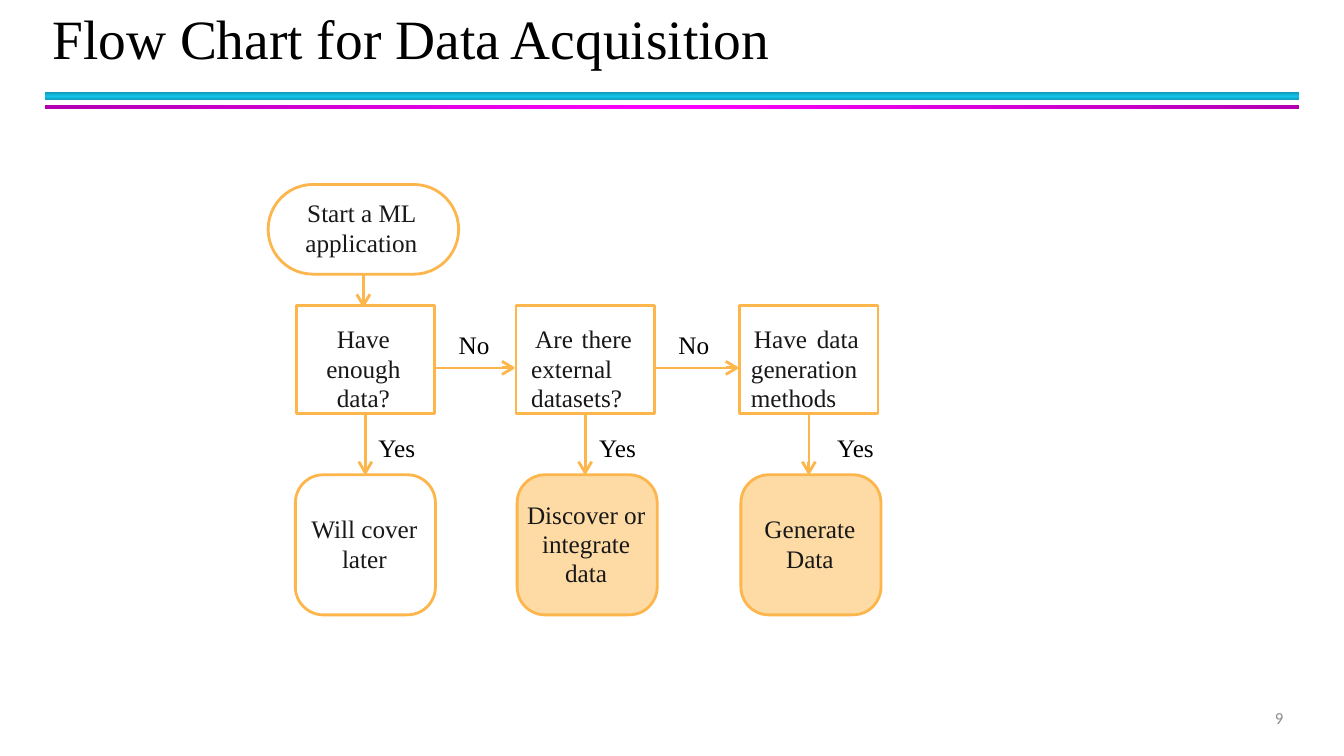
from copy import deepcopy
from dataclasses import dataclass

from lxml.etree import SubElement
from pptx import Presentation
from pptx.dml.color import RGBColor
from pptx.enum.shapes import MSO_CONNECTOR, MSO_SHAPE
from pptx.enum.text import MSO_ANCHOR, PP_ALIGN
from pptx.oxml.ns import qn
from pptx.util import Inches, Pt


@dataclass(frozen=True)
class Theme:
    """Colours, fonts and sizes of the slide."""
    black: str = "000000"
    ink: str = "181818"
    grey: str = "8C8C8C"
    orange: str = "FCB64C"
    peach: str = "FEDBA5"
    cyan: tuple = ("0E9BBA", "12C2E9", "0E9BBA")
    magenta: tuple = ("B200B2", "FF00FF", "B200B2")
    serif: str = "Times New Roman"
    sans: str = "Calibri"
    title: float = 39.6
    body: float = 18
    number: float = 12
    leading: float = 21
    stroke: float = 2


@dataclass(frozen=True)
class Box:
    """A rectangle in grid units, ten to the inch."""
    left: float
    top: float
    width: float
    height: float

    def inner(self, left, top, width, height):
        """Return a box placed relative to this one."""
        return Box(self.left + left, self.top + top, width, height)

    def lengths(self):
        """Return the four lengths for python-pptx."""
        return [grid(value) for value in (self.left, self.top, self.width, self.height)]


THEME = Theme()
PAGE = Box(0, 0, 133.33, 75)
DECISION_LEFTS = (2.8, 24.6, 46.8)
DECISIONS = (
    ("Have enough data?", PP_ALIGN.CENTER, 2.6, 3, 0),
    ("Are there external datasets?", PP_ALIGN.JUSTIFY, 1.5, 2.2, 0.4),
    ("Have data generation methods", PP_ALIGN.JUSTIFY, 1.1, 1.9, 0.3),
)
OUTCOMES = (
    ("Will cover later", None, 2.7, 1.2),
    ("Discover or integrate data", THEME.peach, 24.7, 1.3),
    ("Generate Data", THEME.peach, 46.9, 2.7),
)


def grid(units):
    """Turn grid units into a length."""
    return Inches(units / 10)


def colour(code):
    """Turn a hex code into a colour."""
    return RGBColor.from_string(code)


def write(shape, text, size=THEME.body, font=THEME.serif, ink=THEME.ink,
          align=PP_ALIGN.LEFT, anchor=MSO_ANCHOR.MIDDLE, insets=(0, 0, 0, 0),
          spacing=None, indent=0, kerning=True):
    """Write one formatted paragraph into a shape."""
    frame = shape.text_frame
    frame.word_wrap = True
    frame.vertical_anchor = anchor
    (frame.margin_left, frame.margin_top,
     frame.margin_right, frame.margin_bottom) = map(grid, insets)
    para = frame.paragraphs[0]
    para.alignment = align
    if spacing:
        para.line_spacing = spacing
    if indent:
        para._p.get_or_add_pPr().set("indent", str(grid(indent)))
    span = para.add_run()
    span.text = text
    span.font.size = Pt(size)
    span.font.name = font
    span.font.color.rgb = colour(ink)
    if not kerning:
        span._r.get_or_add_rPr().set("kern", "0")


def add_label(page, box, text, **style):
    """Add a text box."""
    write(page.shapes.add_textbox(*box.lengths()), text, **style)


def set_stroke(shape):
    """Give a shape or connector the orange line."""
    shape.line.color.rgb = colour(THEME.orange)
    shape.line.width = Pt(THEME.stroke)


def add_node(page, box, kind, text, fill=None, corner=None, **style):
    """Add an outlined flow chart node."""
    node = page.shapes.add_shape(kind, *box.lengths())
    node.shadow.inherit = False
    if corner is not None:
        node.adjustments[0] = corner
    if fill:
        node.fill.solid()
        node.fill.fore_color.rgb = colour(fill)
    else:
        node.fill.background()
    set_stroke(node)
    write(node, text, spacing=Pt(THEME.leading), **style)
    return node


def add_arrow(page, start, tip, source=None):
    """Draw a shaft and an open head, right or down, glued to a source's bottom."""
    across = start[1] == tip[1]
    reach, spread = 1.1, 0.65

    def behind(back, side):
        """Return a point behind the tip and to one side."""
        shift = (-back, side) if across else (side, -back)
        return [grid(value + move) for value, move in zip(tip, shift)]

    shaft = page.shapes.add_connector(MSO_CONNECTOR.STRAIGHT,
                                      *map(grid, start), *behind(1, 0))
    if source is not None:
        shaft.begin_connect(source, 2)
    set_stroke(shaft)
    SubElement(shaft._element.spPr, qn("a:effectLst"))
    outline = page.shapes.build_freeform(*behind(reach, spread))
    outline.add_line_segments([behind(0, 0), behind(reach, -spread)], close=False)
    outline.move_to(*behind(reach, 0))
    outline.add_line_segments([behind(0, 0)], close=False)
    head = outline.convert_to_shape()
    head.shadow.inherit = False
    head.fill.background()
    set_stroke(head)


def add_bar(page, box, codes, angle):
    """Add a bar with a three-stop gradient."""
    bar = page.shapes.add_shape(MSO_SHAPE.RECTANGLE, *box.lengths())
    bar.shadow.inherit = False
    bar.line.fill.background()
    bar.fill.gradient()
    bar.fill.gradient_angle = angle
    stops = bar._element.spPr.find(qn("a:gradFill")).find(qn("a:gsLst"))
    stops.append(deepcopy(stops[0]))
    for place, (stop, code) in enumerate(zip(bar.fill.gradient_stops, codes)):
        stop.position = place / 2
        stop.color.rgb = colour(code)


def add_header(page, box):
    """Add the title and the two bars under it."""
    add_bar(page, box.inner(0.25, 8.35, 124.4, 0.8), THEME.cyan, 90)
    add_bar(page, box.inner(0.25, 9.6, 124.4, 0.4), THEME.magenta, 0)
    add_label(page, box.inner(0, 0, 124.2, 6.6), "Flow Chart for Data Acquisition",
              size=THEME.title, ink=THEME.black, spacing=0.9, insets=(1, 0.5, 1, 0.5))


def add_footer(page, box):
    """Add the page number."""
    add_label(page, box, "9", size=THEME.number, font=THEME.sans, ink=THEME.grey,
              align=PP_ALIGN.RIGHT, insets=(1, 0.5, 1, 0.5))


def add_flow_chart(page, box):
    """Add the start node, the decisions and their outcomes."""
    width, height, top = 13.7, 10.7, 12
    start_width, outcome_size, outcome_top = 18.9, 13.9, 28.8
    arrow_row = box.top + 18.2
    label_style = dict(ink=THEME.black, anchor=MSO_ANCHOR.TOP,
                       insets=(0.1, 0.15, 0, 0), kerning=False)
    start = add_node(page, box.inner(0, 0, start_width, 8.9), MSO_SHAPE.ROUNDED_RECTANGLE,
                     "Start a ML application", corner=0.5, align=PP_ALIGN.CENTER,
                     insets=(0, 0, 0.4, 0.3))
    start_middle = box.left + start_width / 2
    add_arrow(page, (start_middle, box.top + 8.9), (start_middle, box.top + top), start)
    for column, left in enumerate(DECISION_LEFTS):
        question, align, left_inset, right_inset, indent = DECISIONS[column]
        answer, fill, outcome_left, yes_gap = OUTCOMES[column]
        middle = left + width / 2
        node = add_node(page, box.inner(left, top, width, height), MSO_SHAPE.RECTANGLE,
                        question, align=align, anchor=MSO_ANCHOR.TOP, indent=indent,
                        insets=(left_inset, 1.9, right_inset, 0))
        add_node(page, box.inner(outcome_left, outcome_top, outcome_size, outcome_size),
                 MSO_SHAPE.ROUNDED_RECTANGLE, answer, fill=fill, corner=0.2,
                 align=PP_ALIGN.CENTER, insets=(0, 0, 0.2, 0.2))
        add_arrow(page, (box.left + middle, box.top + top + height),
                  (box.left + middle, box.top + outcome_top - 0.2), node)
        add_label(page, box.inner(middle + yes_gap, 24.4, 4.3, 3.2), "Yes", **label_style)
        if column < len(DECISION_LEFTS) - 1:
            right = left + width
            following = DECISION_LEFTS[column + 1]
            add_arrow(page, (box.left + right + 0.2, arrow_row),
                      (box.left + following - 0.3, arrow_row))
            add_label(page, box.inner(right + 2.3, 14.2, 3.5, 3.3), "No", **label_style)


def main():
    """Build the slide and save it."""
    deck = Presentation()
    deck.slide_width, deck.slide_height = grid(PAGE.width), grid(PAGE.height)
    page = deck.slides.add_slide(deck.slide_layouts[6])
    add_header(page, PAGE.inner(4.2, 0.8, 124.6, 10))
    add_flow_chart(page, PAGE.inner(26.6, 18.3, 60.8, 42.7))
    add_footer(page, PAGE.inner(98.3, 69.2, 30, 4))
    deck.save("out.pptx")


if __name__ == "__main__":
    main()
